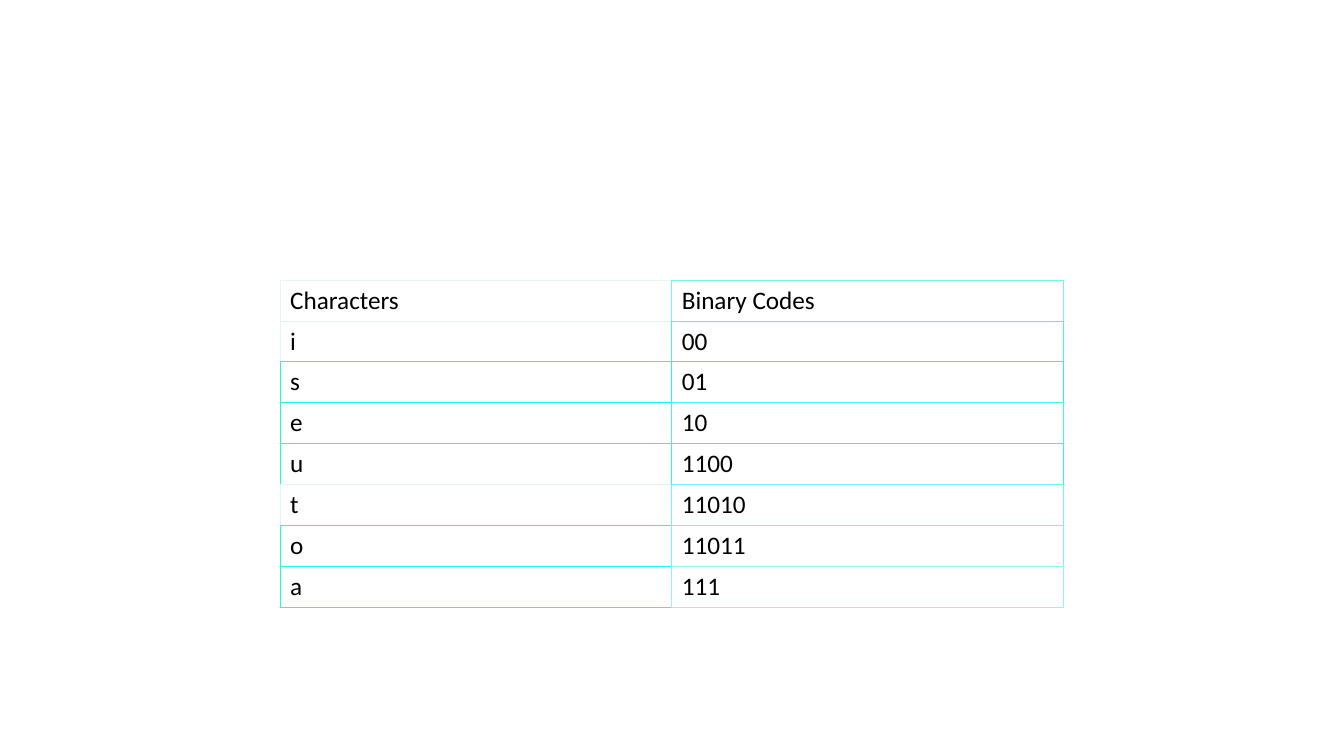
from dataclasses import dataclass

from lxml.etree import SubElement
from pptx import Presentation
from pptx.dml.color import RGBColor as Rgb
from pptx.oxml.ns import qn
from pptx.table import Table, _Cell as Cell
from pptx.util import Cm, Pt


@dataclass(frozen=True)
class Theme:
    font: str = "Calibri"
    size: float = 18
    ink: str = "000000"
    paper: str = "FFFFFF"
    border: float = 0.75


@dataclass(frozen=True)
class CodeRow:
    texts: tuple[str, str]
    edges: tuple[str, str]  # border colour of each cell


THEME = Theme()
ROWS = [
    CodeRow(("Characters", "Binary Codes"), ("E8F6F2", "70F6F2")),
    CodeRow(("i", "00"), ("E0F5F2", "40F6F2")),
    CodeRow(("s", "01"), ("20F5F2", "20F5F2")),
    CodeRow(("e", "10"), ("18F7F2", "40F6F2")),
    CodeRow(("u", "1100"), ("20F5F2", "30F4F2")),
    CodeRow(("t", "11010"), ("E0F5F2", "70F6F2")),
    CodeRow(("o", "11011"), ("20F5F2", "70F9F2")),
    CodeRow(("a", "111"), ("18FAF2", "90F7F2")),
]
LEFT, TOP = Cm(7.06), Cm(7.06)
COLUMN_WIDTH, ROW_HEIGHT = Cm(9.87), Cm(1.02)


def write_text(cell: Cell, text: str) -> None:
    para = cell.text_frame.paragraphs[0]
    span = para.add_run()
    formats = {"name": THEME.font, "size": Pt(THEME.size)}
    for name, value in formats.items():
        setattr(span.font, name, value)
    span.text = text
    span.font.color.rgb = Rgb.from_string(THEME.ink)


def draw_borders(cell: Cell, colours: dict[str, str]) -> None:
    """Border lines must stand before the fill in the cell properties."""
    properties = cell._tc.get_or_add_tcPr()
    for index, (side, colour) in enumerate(colours.items()):
        line = SubElement(properties, qn(f"a:{side}"), w=str(Pt(THEME.border)))
        fill = SubElement(line, qn("a:solidFill"))
        SubElement(fill, qn("a:srgbClr"), val=colour)
        properties.insert(index, line)


def fill_cell(table: Table, row: int, column: int) -> None:
    cell = table.cell(row, column)
    write_text(cell, ROWS[row].texts[column])
    cell.fill.solid()
    cell.fill.fore_color.rgb = Rgb.from_string(THEME.paper)

    # A shared edge takes the colour of the cell to its right or below it
    own = ROWS[row].edges[column]
    right = ROWS[row].edges[-1]
    below = ROWS[min(row + 1, len(ROWS) - 1)].edges[column]
    draw_borders(cell, {"lnL": own, "lnR": right, "lnT": own, "lnB": below})


def main() -> None:
    deck = Presentation()
    deck.slide_width, deck.slide_height = Cm(33.87), Cm(19.05)
    page = deck.slides.add_slide(deck.slide_layouts[6])

    # Code table
    columns = len(ROWS[0].texts)
    table = page.shapes.add_table(
        len(ROWS), columns, LEFT, TOP,
        COLUMN_WIDTH * columns, ROW_HEIGHT * len(ROWS),
    ).table
    table.horz_banding = False
    table.first_row = False
    for row in range(len(ROWS)):
        for column in range(columns):
            fill_cell(table, row, column)

    deck.save("out.pptx")


if __name__ == "__main__":
    main()
